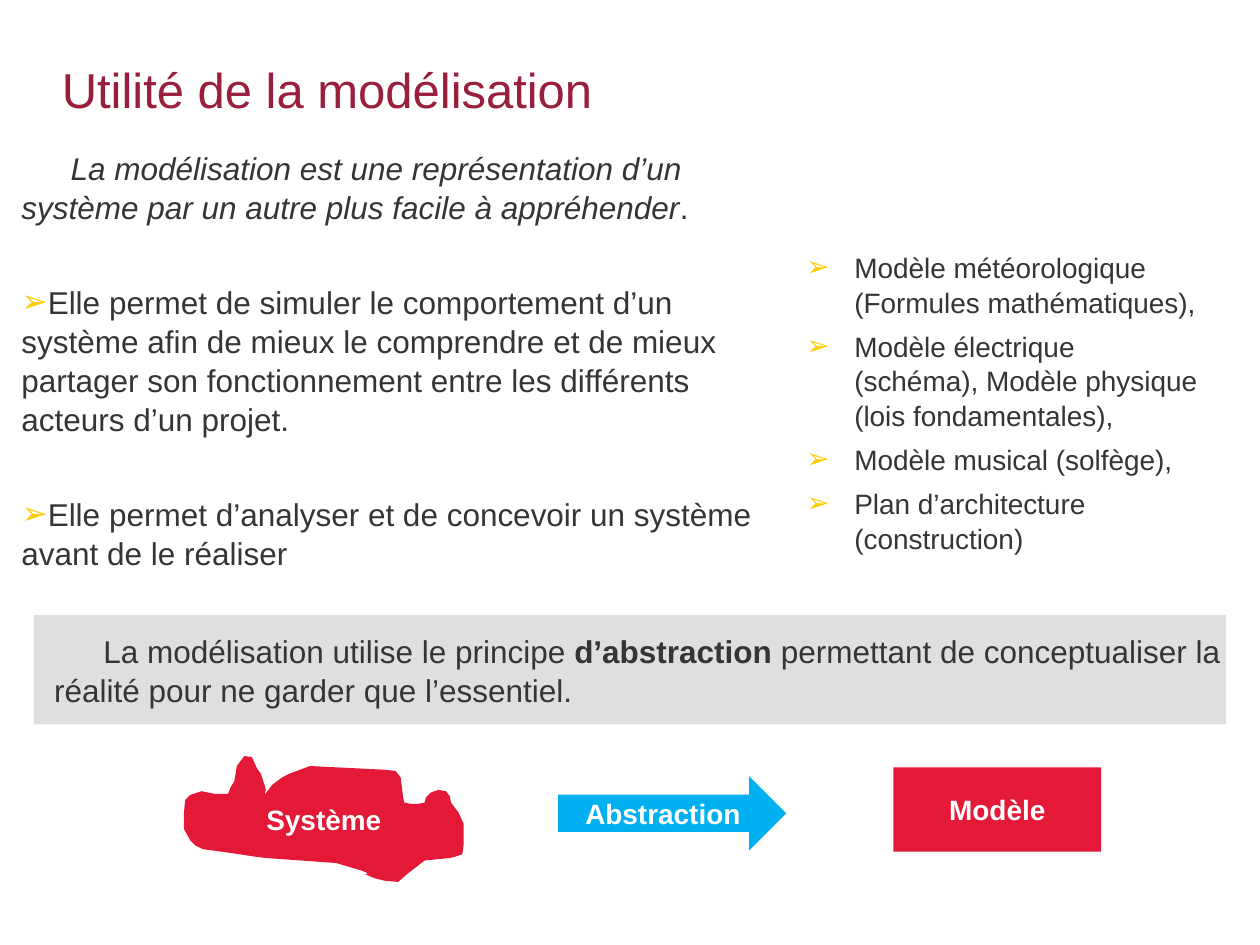
from lxml import etree
from pptx import Presentation
from pptx.dml.color import RGBColor
from pptx.enum import shapes, text
from pptx.oxml.ns import qn
from pptx.util import Inches, Pt

FONT = "Arial"
COLORS = {"title": "991F3D", "text": "363534", "bullet": "FFCC00", "white": "FFFFFF",
          "grey": "D9D9D9", "red": "E31937", "blue": "00B0F0"}

TITLE = "Utilité de la modélisation"
# A paragraph is a list of (words, style); style is "", "i" or "b".
DEFINITION = [("La modélisation est une représentation d’un système par un autre "
               "plus facile à appréhender", "i"), (".", "")]
USES = [
    [("Elle permet de simuler le comportement d’un système afin de mieux le comprendre "
      "et de mieux partager son fonctionnement entre les différents acteurs d’un projet.", "")],
    [("Elle permet d’analyser et de concevoir un système avant de le réaliser", "")],
]
EXAMPLES = [[(words, "")] for words in (
    "Modèle météorologique (Formules mathématiques),",
    "Modèle électrique (schéma), Modèle physique (lois fondamentales),",
    "Modèle musical (solfège),",
    "Plan d’architecture (construction)",
)]
PRINCIPLE = [("La modélisation utilise le principe ", ""), ("d’abstraction", "b"),
             (" permettant de conceptualiser la réalité pour ne garder que l’essentiel.", "")]

SYSTEM_OUTLINE = [
    (2.1, 6.31), (2.16, 6.23), (2.24, 6.17), (2.3, 6.14), (2.38, 6.11), (2.46, 6.08),
    (3.06, 6.11), (3.14, 6.12), (3.18, 6.17), (3.2, 6.33), (3.21, 6.37), (3.26, 6.38),
    (3.32, 6.38), (3.37, 6.37), (3.38, 6.33), (3.42, 6.29), (3.48, 6.27), (3.54, 6.28),
    (3.57, 6.32), (3.58, 6.37), (3.64, 6.45), (3.68, 6.54), (3.68, 6.7), (3.67, 6.78),
    (3.61, 6.8), (3.57, 6.81), (3.37, 6.83), (3.28, 6.9), (3.24, 6.93), (3.16, 7),
    (3.05, 6.99), (2.97, 6.97), (2.9, 6.94), (2.92, 6.93), (2.87, 6.91), (2.67, 6.85),
    (2.11, 6.81), (2.03, 6.8), (1.83, 6.77), (1.61, 6.74), (1.55, 6.71), (1.51, 6.67),
    (1.46, 6.58), (1.46, 6.45), (1.47, 6.35), (1.51, 6.31), (1.6, 6.28), (1.7, 6.3),
    (1.81, 6.3), (1.83, 6.25), (1.86, 6.2), (1.88, 6.08), (1.94, 6), (2, 6.01),
    (2.04, 6.1), (2.07, 6.14), (2.1, 6.23), (2.11, 6.27),
]


def rgb(name):
    return RGBColor.from_string(COLORS[name])


def place(sp, left, top, width, height):
    sp.left, sp.top, sp.width, sp.height = map(Inches, (left, top, width, height))


def paint(sp, color, opacity=100):
    sp.fill.solid()
    sp.fill.fore_color.rgb = rgb(color)
    if opacity < 100:
        clr = sp.fill._xPr.find(qn("a:solidFill"))[0]
        etree.SubElement(clr, qn("a:alpha"), val=str(opacity * 1000))
    sp.line.fill.background()


def setup_frame(sp, insets):
    tf = sp.text_frame
    tf.word_wrap = True
    tf.auto_size = text.MSO_AUTO_SIZE.NONE
    tf.vertical_anchor = text.MSO_ANCHOR.MIDDLE
    tf.margin_left, tf.margin_top, tf.margin_right, tf.margin_bottom = map(Inches, insets)
    return tf


def add_run(p, words, size, color, style=""):
    r = p.add_run()
    r.text = words
    r.font.name, r.font.size = FONT, Pt(size)
    r.font.bold, r.font.italic = style == "b", style == "i"
    r.font.color.rgb = rgb(color)


def set_bullet(p, margin, indent, bullet):
    pPr = p._p.get_or_add_pPr()
    pPr.set("marL", str(Inches(margin)))
    pPr.set("indent", str(Inches(indent)))
    if bullet:
        clr = etree.SubElement(pPr, qn("a:buClr"))
        etree.SubElement(clr, qn("a:srgbClr"), val=COLORS["bullet"])
        etree.SubElement(pPr, qn("a:buFont"), typeface=FONT)
        etree.SubElement(pPr, qn("a:buChar"), char="➢")
    else:
        etree.SubElement(pPr, qn("a:buNone"))


def write_paragraphs(sp, paragraphs, size, gap=0):
    """Fill a shape from (runs, margin, indent, bullet) entries, gap points apart."""
    tf = setup_frame(sp, (0.16, 0.05, 0.04, 0.05))
    for i, (runs, margin, indent, bullet) in enumerate(paragraphs):
        p = tf.add_paragraph() if i else tf.paragraphs[0]
        set_bullet(p, margin, indent, bullet)
        p.alignment = text.PP_ALIGN.LEFT
        p.line_spacing = 1.04
        p.space_before = Pt(gap if i else 0)
        for words, style in runs:
            add_run(p, words, size, "text", style)


def write_label(sp, words):
    tf = setup_frame(sp, (0.07, 0, 0.07, 0))
    p = tf.paragraphs[0]
    p.alignment = text.PP_ALIGN.CENTER
    add_run(p, words, 16, "white", "b")


def add_box(s, kind, at, color, opacity=100):
    sp = s.shapes.add_shape(kind, *map(Inches, at))
    sp.shadow.inherit = False
    paint(sp, color, opacity)
    return sp


def main():
    prs = Presentation()
    prs.slide_width, prs.slide_height = Inches(10), Inches(7.5)
    s = prs.slides.add_slide(prs.slide_layouts[1])
    rect = shapes.MSO_SHAPE.RECTANGLE

    title = s.shapes.title
    place(title, 0.49, 0.2, 9.01, 1.01)
    p = setup_frame(title, (0, 0, 0, 0)).paragraphs[0]
    p.alignment = text.PP_ALIGN.LEFT
    add_run(p, TITLE, 28, "title")

    body = s.placeholders[1]
    place(body, 0.01, 1.03, 6.02, 3.65)
    paint(body, "white", 70)
    write_paragraphs(body, [(DEFINITION, 0, 0.39, False)]
                     + [(use, 0, 0, True) for use in USES], 18, gap=31.5)

    principle = add_box(s, rect, (0.27, 4.88, 9.46, 0.87), "grey", 82)
    write_paragraphs(principle, [(PRINCIPLE, 0, 0.39, False)], 18)

    examples = add_box(s, rect, (6.24, 1.95, 3.35, 2.48), "white", 70)
    write_paragraphs(examples, [(e, 0.38, -0.38, True) for e in EXAMPLES], 16, gap=5)

    write_label(add_box(s, rect, (7.09, 6.09, 1.65, 0.67), "red"), "Modèle")

    points = [(Inches(x), Inches(y)) for x, y in SYSTEM_OUTLINE]
    fb = s.shapes.build_freeform(*points[0])
    fb.add_line_segments(points[1:], close=True)
    system = fb.convert_to_shape()
    system.shadow.inherit = False
    paint(system, "red")
    write_label(system, "Système")

    arrow = add_box(s, shapes.MSO_SHAPE.RIGHT_ARROW, (4.43, 6.16, 1.81, 0.59), "blue")
    write_label(arrow, "Abstraction")

    prs.save("out.pptx")


if __name__ == "__main__":
    main()
